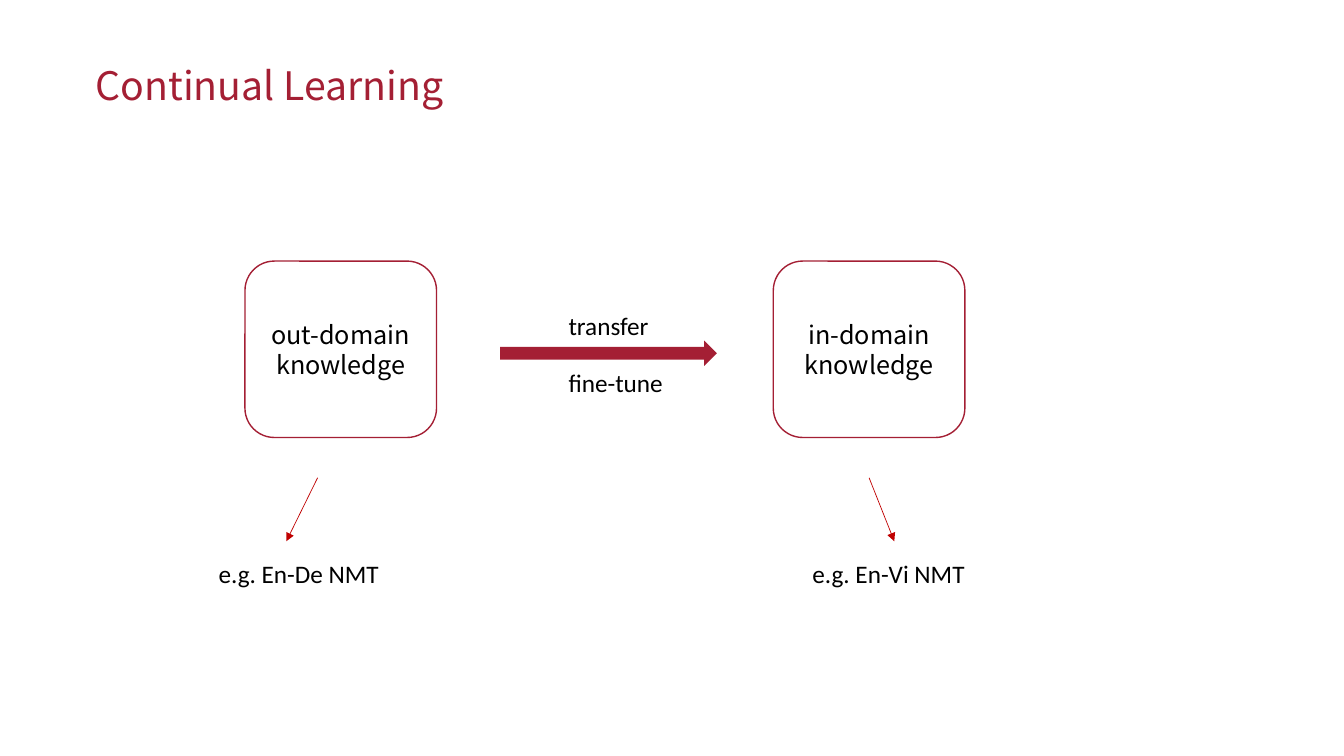
from dataclasses import dataclass
from typing import NamedTuple

from lxml import etree
from pptx import Presentation
from pptx.dml.color import RGBColor
from pptx.enum import shapes, text
from pptx.oxml import ns
from pptx.util import Inches, Pt


@dataclass(frozen=True)
class Theme:
    red: str = "A41F34"
    dart: str = "C00000"
    ink: str = "000000"
    head: str = "Noto Sans CJK SC"
    body: str = "Calibri"
    big: int = 28
    size: int = 18
    edge: float = 1
    thin: float = 0.5


class Box(NamedTuple):
    words: str
    left: float


class Label(NamedTuple):
    words: str
    left: float
    top: float
    width: float


class Dart(NamedTuple):
    start: float
    end: float


LOOK = Theme()
BOXES = [Box("out-domain knowledge", 2.43), Box("in-domain knowledge", 7.67)]
LABELS = [
    Label("transfer", 5.54, 3.03, 1.35),
    Label("fine-tune", 5.54, 3.59, 1.35),
    Label("e.g. En-De NMT", 2.07, 5.49, 2.36),
    Label("e.g. En-Vi NMT", 7.96, 5.49, 2.36),
]
DARTS = [Dart(3.15, 2.84), Dart(8.62, 8.87)]


def tint(code: str) -> RGBColor:
    return RGBColor.from_string(code)


def write(frame, words: str, *, font: str = LOOK.body, size: float = LOOK.size,
          color: str = LOOK.ink, align=text.PP_ALIGN.LEFT,
          anchor=text.MSO_ANCHOR.TOP) -> None:
    frame.word_wrap = True
    frame.auto_size = text.MSO_AUTO_SIZE.NONE
    frame.vertical_anchor = anchor
    para = frame.paragraphs[0]
    para.alignment = align
    run = para.add_run()
    run.text = words
    run.font.name = font
    run.font.size = Pt(size)
    run.font.color.rgb = tint(color)


def add_box(slide, box: Box) -> None:
    shape = slide.shapes.add_shape(
        shapes.MSO_SHAPE.ROUNDED_RECTANGLE,
        Inches(box.left), Inches(2.59), Inches(1.9), Inches(1.75))
    shape.shadow.inherit = False
    shape.fill.background()
    shape.line.color.rgb = tint(LOOK.red)
    shape.line.width = Pt(LOOK.edge)
    write(shape.text_frame, box.words, font=LOOK.head,
          align=text.PP_ALIGN.CENTER, anchor=text.MSO_ANCHOR.MIDDLE)


def add_label(slide, label: Label) -> None:
    area = slide.shapes.add_textbox(
        Inches(label.left), Inches(label.top), Inches(label.width), Inches(0.4))
    write(area.text_frame, label.words)


def add_dart(slide, dart: Dart) -> None:
    line = slide.shapes.add_connector(
        shapes.MSO_CONNECTOR.STRAIGHT,
        Inches(dart.start), Inches(4.74), Inches(dart.end), Inches(5.37))
    line.line.color.rgb = tint(LOOK.dart)
    line.line.width = Pt(LOOK.thin)
    props = line._element.spPr
    tail = etree.SubElement(props.find(ns.qn("a:ln")), ns.qn("a:tailEnd"))
    tail.set("type", "triangle")
    etree.SubElement(props, ns.qn("a:effectLst"))


def add_arrow(slide) -> None:
    arrow = slide.shapes.add_shape(
        shapes.MSO_SHAPE.RIGHT_ARROW,
        Inches(4.96), Inches(3.38), Inches(2.15), Inches(0.25))
    arrow.shadow.inherit = False
    arrow.fill.solid()
    arrow.fill.fore_color.rgb = tint(LOOK.red)
    arrow.line.fill.background()


def main() -> None:
    deck = Presentation()
    deck.slide_width, deck.slide_height = Inches(13.33), Inches(7.5)
    slide = deck.slides.add_slide(deck.slide_layouts.get_by_name("Title Only"))

    # Title
    title = slide.shapes.title
    title.left, title.top = Inches(0.85), Inches(0.56)
    title.width, title.height = Inches(4.46), Inches(0.57)
    write(title.text_frame, "Continual Learning", font=LOOK.head,
          size=LOOK.big, color=LOOK.red)

    # Knowledge boxes and the transfer between them
    for box in BOXES:
        add_box(slide, box)
    add_arrow(slide)

    # Examples and captions
    for dart in DARTS:
        add_dart(slide, dart)
    for label in LABELS:
        add_label(slide, label)

    deck.save("out.pptx")


if __name__ == "__main__":
    main()
